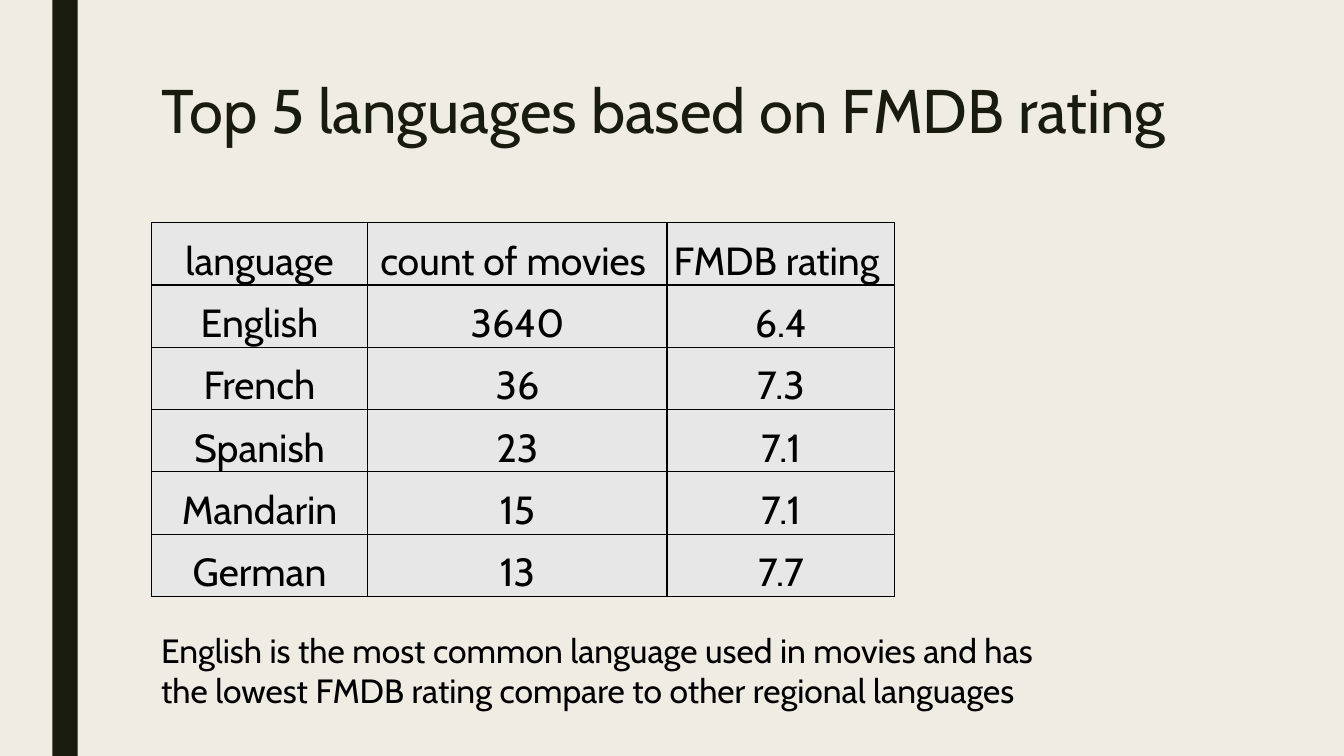
from lxml import etree
from pptx import Presentation
from pptx import util as u
from pptx.dml.color import RGBColor
from pptx.enum import shapes, text
from pptx.oxml import ns

INK, BLACK, PAPER, CELL = "191B0E", "000000", "EFEDE3", "E7E7E7"
LEFT = 3.81

RATINGS = [
    ("language", "count of movies ", "FMDB rating "),
    ("English", "3640", "6.4"),
    ("French", "36", "7.3"),
    ("Spanish", "23", "7.1"),
    ("Mandarin", "15", "7.1"),
    ("German", "13", "7.7"),
]


def paint(fill, colour):
    fill.solid()
    fill.fore_color.rgb = RGBColor.from_string(colour)


class LanguageSlide:
    def __init__(self, deck, font_name="Cabin"):
        self.font_name = font_name
        self.slide = deck.slides.add_slide(deck.slide_layouts[5])
        paint(self.slide.background.fill, PAPER)

    def style(self, paragraph, size, colour=BLACK, align=text.PP_ALIGN.LEFT):
        paragraph.alignment = align
        font = paragraph.font
        font.name, font.size, font.bold = self.font_name, u.Pt(size), False
        font.color.rgb = RGBColor.from_string(colour)

    def bar(self, left, width, height):
        stripe = self.slide.shapes.add_shape(
            shapes.MSO_SHAPE.RECTANGLE, u.Cm(left), 0, u.Cm(width), height)
        stripe.shadow.inherit = False
        paint(stripe.fill, INK)
        stripe.line.fill.background()

    def title(self, wording, left, top, width, height):
        heading = self.slide.shapes.title
        heading.left, heading.top = u.Cm(left), u.Cm(top)
        heading.width, heading.height = u.Cm(width), u.Cm(height)
        frame = heading.text_frame
        frame.text = wording
        frame.word_wrap = True
        frame.auto_size = text.MSO_AUTO_SIZE.NONE
        frame.vertical_anchor = text.MSO_ANCHOR.TOP
        frame.paragraphs[0].line_spacing = 0.89
        self.style(frame.paragraphs[0], 44, INK)

    def table(self, rows, left, top, column_widths, row_height):
        grid = self.slide.shapes.add_table(
            len(rows), len(column_widths), u.Cm(left), u.Cm(top),
            u.Cm(sum(column_widths)), u.Cm(row_height * len(rows))).table
        grid.first_row = grid.horz_banding = False
        for column, width in zip(grid.columns, column_widths):
            column.width = u.Cm(width)
        for row, values in zip(grid.rows, rows):
            row.height = u.Cm(row_height)
            for cell, value in zip(row.cells, values):
                self.cell(cell, value)

    def cell(self, cell, value):
        cell.text = value
        cell.vertical_anchor = text.MSO_ANCHOR.BOTTOM
        cell.margin_left = cell.margin_right = cell.margin_top = u.Cm(0.03)
        cell.margin_bottom = 0
        self.borders(cell)
        paint(cell.fill, CELL)
        self.style(cell.text_frame.paragraphs[0], 28, align=text.PP_ALIGN.CENTER)

    def borders(self, cell):
        properties = cell._tc.get_or_add_tcPr()
        for side in ("lnL", "lnR", "lnT", "lnB"):
            line = etree.SubElement(properties, ns.qn(f"a:{side}"), w=str(u.Pt(1)))
            solid = etree.SubElement(line, ns.qn("a:solidFill"))
            etree.SubElement(solid, ns.qn("a:srgbClr"), val=BLACK)

    def note(self, wording, left, top, width, height):
        frame = self.slide.shapes.add_textbox(
            u.Cm(left), u.Cm(top), u.Cm(width), u.Cm(height)).text_frame
        frame.word_wrap = True
        frame.auto_size = text.MSO_AUTO_SIZE.SHAPE_TO_FIT_TEXT
        frame.text = wording
        self.style(frame.paragraphs[0], 24)


def main():
    deck = Presentation()
    deck.slide_width, deck.slide_height = u.Cm(33.87), u.Cm(19.05)
    page = LanguageSlide(deck)
    page.bar(1.32, 0.64, deck.slide_height)
    page.title("Top 5 languages based on FMDB rating", LEFT, 1.9, 26.67, 4.11)
    page.table(RATINGS, LEFT, 5.61, (5.46, 7.54, 5.74), 1.57)
    page.note("English is the most common language used in movies and has "
              "the lowest FMDB rating compare to other regional languages",
              LEFT, 15.75, 23.24, 2.31)
    deck.save("out.pptx")


if __name__ == "__main__":
    main()
